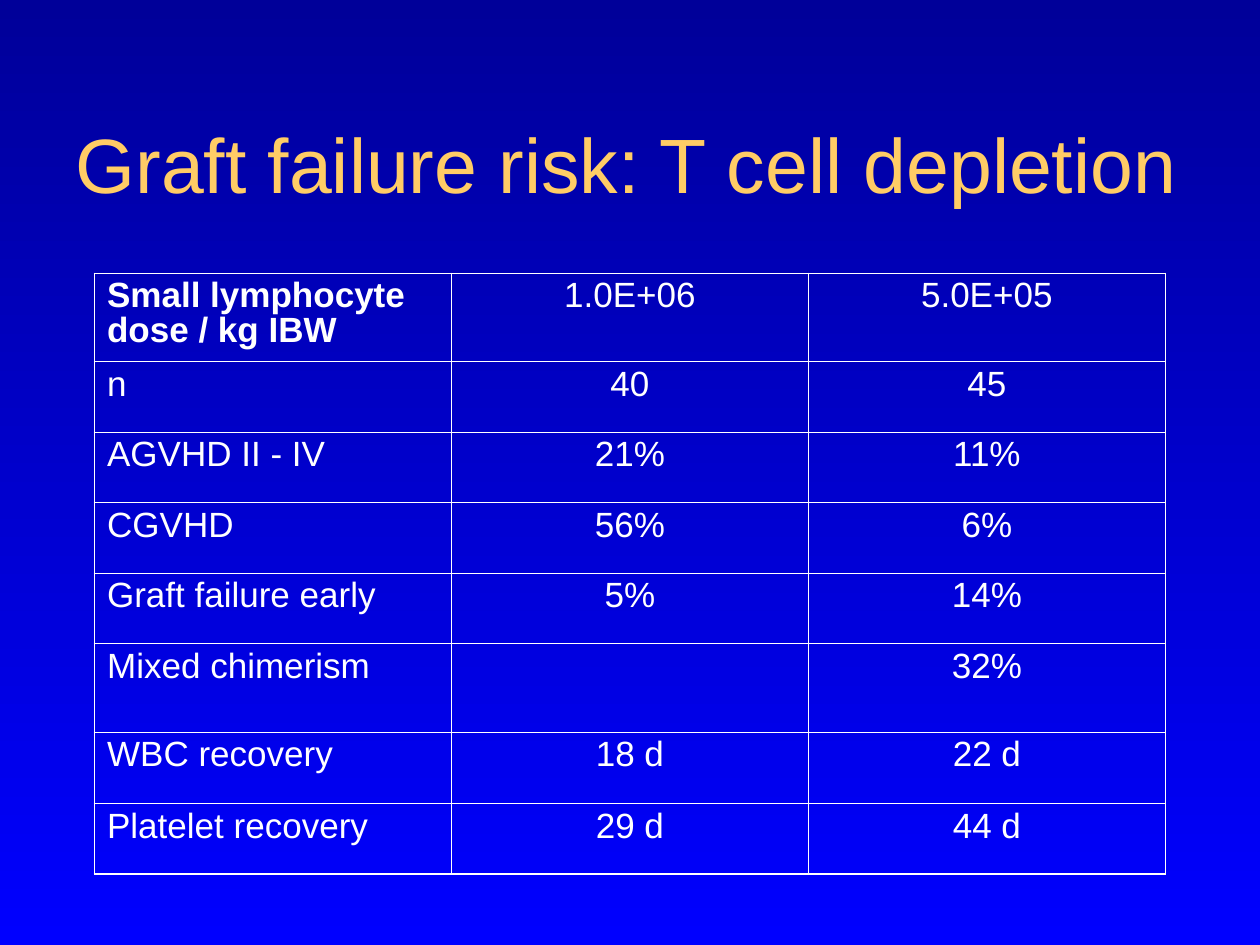
from pptx import Presentation
from pptx.dml.color import RGBColor
from pptx.enum.text import MSO_ANCHOR, MSO_AUTO_SIZE, PP_ALIGN
from pptx.oxml.ns import qn
from pptx.util import Inches, Pt
from lxml.etree import SubElement

COLORS = {"top": "000099", "bottom": "0000FF", "title": "FFCC66", "text": "FFFFFF"}
FONT = "Arial"
OUTER_LINE, INNER_LINE = 1.08, 0.45

ROWS = [
    ("Small lymphocyte dose / kg IBW", "1.0E+06", "5.0E+05"),
    ("n", "40", "45"),
    ("AGVHD II - IV", "21%", "11%"),
    ("CGVHD", "56%", "6%"),
    ("Graft failure early", "5%", "14%"),
    ("Mixed chimerism", "", "32%"),
    ("WBC recovery", "18 d", "22 d"),
    ("Platelet recovery", "29 d", "44 d"),
]
ROW_HEIGHTS = [0.7, 0.56, 0.56, 0.56, 0.56, 0.7, 0.57, 0.56]


def paint_background(page):
    fill = page.background.fill
    fill.gradient()
    fill.gradient_angle = 270
    for stop, position, name in zip(fill.gradient_stops, (0, 1), ("top", "bottom")):
        stop.position = position
        stop.color.rgb = RGBColor.from_string(COLORS[name])


def write_text(frame, text, size, color="text", bold=False, align=PP_ALIGN.LEFT, spacing=1.0):
    para = frame.paragraphs[0]
    para.alignment = align
    para.line_spacing = spacing
    if text:
        span = para.add_run()
        span.text = text
        font = span.font
    else:
        font = para.font
    font.name, font.size, font.bold = FONT, Pt(size), bold
    font.color.rgb = RGBColor.from_string(COLORS[color])


def add_title(page, text):
    title = page.shapes.title
    title.left, title.top = Inches(0.5), Inches(0.67)
    title.width, title.height = Inches(9), Inches(1.25)
    frame = title.text_frame
    frame.auto_size = MSO_AUTO_SIZE.NONE
    frame.word_wrap = True
    frame.vertical_anchor = MSO_ANCHOR.MIDDLE
    write_text(frame, text, 44, color="title")


def set_borders(cell, widths):
    properties = cell._tc.get_or_add_tcPr()
    for side, width in widths.items():
        line = SubElement(properties, qn(f"a:ln{side}"), w=str(Pt(width)))
        fill = SubElement(line, qn("a:solidFill"))
        SubElement(fill, qn("a:srgbClr"), val=COLORS["text"])


def add_results_table(page):
    last_row, last_column = len(ROWS) - 1, len(ROWS[0]) - 1
    table = page.shapes.add_table(
        len(ROWS), len(ROWS[0]), Inches(0.75), Inches(2.17), Inches(8.5), Inches(4.79)
    ).table
    table.first_row = table.horz_banding = False
    for row, height in zip(table.rows, ROW_HEIGHTS):
        row.height = Inches(height)

    for r, values in enumerate(ROWS):
        for c, value in enumerate(values):
            cell = table.cell(r, c)
            # Heavier lines run around the outside of the table
            outside = {"L": c == 0, "R": c == last_column, "T": r == 0, "B": r == last_row}
            set_borders(cell, {side: OUTER_LINE if edge else INNER_LINE
                               for side, edge in outside.items()})
            cell.fill.background()
            write_text(cell.text_frame, value, 20, bold=(r == 0 and c == 0), spacing=0.9,
                       align=PP_ALIGN.CENTER if c else PP_ALIGN.LEFT)


def main():
    deck = Presentation()
    deck.slide_width, deck.slide_height = Inches(10), Inches(7.5)
    page = deck.slides.add_slide(deck.slide_layouts[5])
    paint_background(page)
    add_title(page, "Graft failure risk: T cell depletion")
    add_results_table(page)
    deck.save("out.pptx")


if __name__ == "__main__":
    main()
